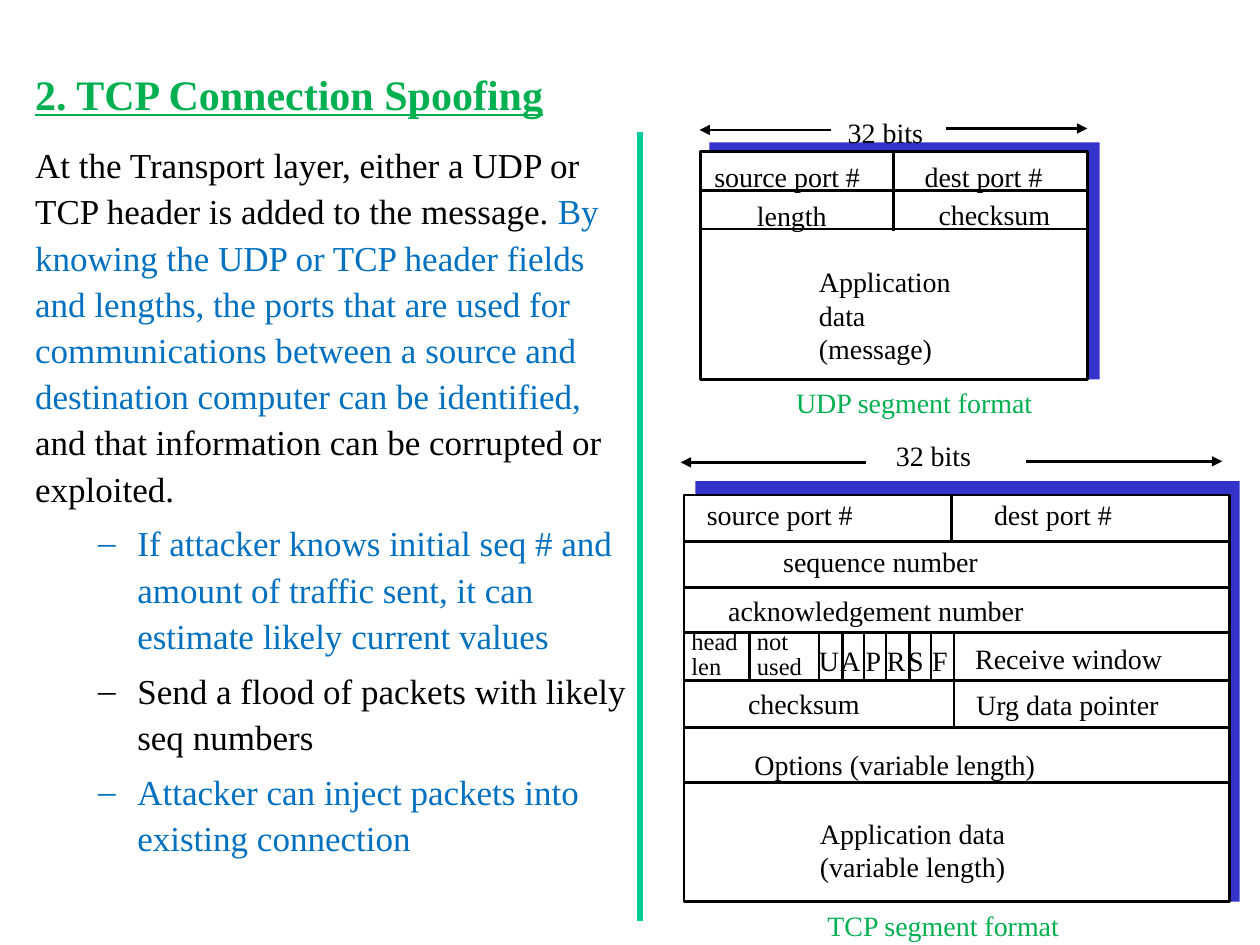
from dataclasses import dataclass
from typing import Any

from lxml.etree import SubElement
from pptx import Presentation
from pptx.dml.color import RGBColor
from pptx.enum.shapes import MSO_CONNECTOR, MSO_SHAPE
from pptx.enum.text import MSO_ANCHOR, MSO_AUTO_SIZE, PP_ALIGN
from pptx.oxml.ns import qn
from pptx.util import Cm, Pt

COLORS = {
    "black": "000000",
    "white": "FFFFFF",
    "blue": "0070C0",
    "green": "00B050",
    "shadow": "3333CC",
    "divider": "00CC98",
}
FONT = "Times New Roman"
LABEL_SLACK = 0.2


@dataclass(frozen=True)
class Box:
    left: float
    top: float
    width: float
    height: float


@dataclass(frozen=True)
class Rule:
    x1: float
    y1: float
    x2: float
    y2: float
    arrow: bool = False


@dataclass(frozen=True)
class Label:
    text: str
    left: float
    top: float
    width: float
    height: float = 0.94
    color: str = "black"
    size: float = 16
    line_spacing: Any = None


@dataclass(frozen=True)
class Paragraph:
    runs: tuple[tuple[str, str], ...]
    bullet: bool = False


@dataclass(frozen=True)
class Segment:
    shadow: Box
    frame: Box
    rules: list[Rule]
    labels: list[Label]


def rgb(name: str) -> RGBColor:
    return RGBColor.from_string(COLORS[name])


def add_bullet(paragraph: Any, color: str) -> None:
    properties = paragraph._p.get_or_add_pPr()
    properties.set("lvl", "1")
    properties.set("marL", str(Cm(2.06)))
    properties.set("indent", str(Cm(-0.79)))
    bullet_color = SubElement(properties, qn("a:buClr"))
    SubElement(bullet_color, qn("a:srgbClr"), val=COLORS[color])
    SubElement(properties, qn("a:buFont"), typeface=FONT)
    SubElement(properties, qn("a:buChar"), char="–")


def add_text(shapes: Any, box: Box, content: list[Paragraph], *, size: float = 16,
             bold: bool = False, underline: bool = False, grow: bool = False,
             anchor: Any = MSO_ANCHOR.TOP, line_spacing: Any = None,
             space_before: float = 0) -> None:
    textbox = shapes.add_textbox(Cm(box.left), Cm(box.top), Cm(box.width), Cm(box.height))
    frame = textbox.text_frame
    frame.word_wrap = True
    frame.auto_size = MSO_AUTO_SIZE.SHAPE_TO_FIT_TEXT if grow else MSO_AUTO_SIZE.NONE
    frame.vertical_anchor = anchor
    for index, item in enumerate(content):
        paragraph = frame.add_paragraph() if index else frame.paragraphs[0]
        paragraph.alignment = PP_ALIGN.LEFT
        paragraph.space_before = Pt(space_before)
        if line_spacing:
            paragraph.line_spacing = line_spacing
        if item.bullet:
            add_bullet(paragraph, item.runs[0][1])
        for text, color in item.runs:
            run = paragraph.add_run()
            run.text = text
            run.font.name = FONT
            run.font.size = Pt(size)
            run.font.bold = bold
            run.font.underline = underline
            run.font.color.rgb = rgb(color)


def add_label(shapes: Any, label: Label) -> None:
    add_text(shapes, Box(label.left, label.top, label.width + LABEL_SLACK, label.height),
             [Paragraph(((line, label.color),)) for line in label.text.split("\n")],
             size=label.size, grow=True, line_spacing=label.line_spacing)


def add_box(shapes: Any, box: Box, fill: str, outlined: bool = False) -> None:
    rectangle = shapes.add_shape(MSO_SHAPE.RECTANGLE, Cm(box.left), Cm(box.top),
                                 Cm(box.width), Cm(box.height))
    rectangle.shadow.inherit = False
    rectangle.fill.solid()
    rectangle.fill.fore_color.rgb = rgb(fill)
    if outlined:
        rectangle.line.color.rgb = rgb("black")
        rectangle.line.width = Pt(1.5)
    else:
        rectangle.line.fill.background()


def add_rule(shapes: Any, rule: Rule, color: str = "black", width: float = 1.5) -> None:
    connector = shapes.add_connector(MSO_CONNECTOR.STRAIGHT, Cm(rule.x1), Cm(rule.y1),
                                     Cm(rule.x2), Cm(rule.y2))
    connector.line.color.rgb = rgb(color)
    connector.line.width = Pt(width)
    if rule.arrow:
        SubElement(connector.line._get_or_add_ln(), qn("a:tailEnd"), type="triangle")
    SubElement(connector._element.spPr, qn("a:effectLst"))


def add_segment(shapes: Any, segment: Segment) -> None:
    group = shapes.add_group_shape().shapes
    add_box(group, segment.shadow, "shadow")
    add_box(group, segment.frame, "white", outlined=True)
    for rule in segment.rules:
        add_rule(group, rule)
    for label in segment.labels:
        add_label(group, label)


UDP = Segment(
    Box(14.3, 2.87, 7.87, 4.78),
    Box(14.12, 3.05, 7.8, 4.6),
    [Rule(14.1, y, 21.95, y) for y in (3.84, 4.62)]
    + [Rule(18.01, 4.65, 18.01, 3.05),
       Rule(19.08, 2.59, 21.92, 2.59, True), Rule(16.76, 2.62, 14.1, 2.62, True)],
    [Label("32 bits", 16.84, 2.2, 2.01),
     Label("source port #", 14.15, 3.1, 3.43),
     Label("dest port #", 18.39, 3.1, 2.87),
     Label("length", 15.01, 3.88, 1.91),
     Label("checksum", 18.67, 3.86, 2.74),
     Label("Application\ndata\n(message)", 16.26, 5.21, 3.15, 2.29),
     Label("UDP segment format", 15.8, 7.65, 5.28, color="green")],
)

FLAGS = zip("UAPRSF", (16.26, 16.69, 17.2, 17.63, 18.06, 18.54),
            (0.91, 0.91, 0.81, 0.89, 0.81, 0.81))
TCP = Segment(
    Box(14.02, 9.7, 10.97, 8.48),
    Box(13.79, 9.98, 11, 8.2),
    [Rule(13.79, y, 24.76, y) for y in (10.91, 11.84, 12.75, 13.72, 14.66, 15.77)]
    + [Rule(x, 13.72, x, 12.75) for x in (15.11, 16.51, 16.99, 17.42, 17.86, 18.34, 18.77)]
    + [Rule(19.18, 10.95, 19.18, 9.98), Rule(19.23, 14.66, 19.23, 12.78),
       Rule(20.68, 9.3, 24.64, 9.3, True), Rule(17.45, 9.32, 13.72, 9.32, True)],
    [Label("32 bits", 17.81, 8.71, 2.01),
     Label("source port #", 14, 9.91, 3.43),
     Label("dest port #", 19.79, 9.91, 2.87),
     Label("sequence number", 15.54, 10.85, 6.91),
     Label("acknowledgement number", 14.43, 11.84, 9.47),
     Label("head\nlen", 13.69, 12.6, 1.45, 1.24, size=14, line_spacing=Pt(14)),
     Label("not\nused", 15.01, 12.6, 1.42, 1.24, size=14, line_spacing=Pt(14))]
    + [Label(flag, left, 12.85, width) for flag, left, width in FLAGS]
    + [Label("Receive window", 19.41, 12.8, 4.27),
       Label("checksum", 14.83, 13.72, 2.74),
       Label("Urg data pointer", 19.43, 13.74, 4.19),
       Label("Options (variable length)", 14.96, 14.94, 6.17),
       Label("Application data\n(variable length)", 16.28, 16.33, 6.15, 1.63)],
)
TCP_CAPTION = Label("TCP segment format", 16.43, 18.19, 5.18, color="green")

EXPLANATION = [
    Paragraph((
        ("At the Transport layer, either a UDP or TCP header is added to the message. ", "black"),
        ("By knowing the UDP or TCP header fields and lengths, the ports that are used for "
         "communications between a source and destination computer can be identified, ", "blue"),
        ("and that information can be corrupted or exploited.", "black"))),
    Paragraph((("If attacker knows initial seq # and amount of traffic sent, "
                "it can estimate likely current values", "blue"),), True),
    Paragraph((("Send a flood of packets with likely seq numbers", "black"),), True),
    Paragraph((("Attacker can inject packets into existing connection", "blue"),), True),
]


def main() -> None:
    presentation = Presentation()
    presentation.slide_width, presentation.slide_height = Cm(25.4), Cm(19.05)
    shapes = presentation.slides.add_slide(presentation.slide_layouts[6]).shapes
    add_text(shapes, Box(0.46, 2.69, 12.5, 15.9), EXPLANATION,
             size=20, line_spacing=1.1, space_before=5)
    add_segment(shapes, UDP)
    add_segment(shapes, TCP)
    add_label(shapes, TCP_CAPTION)
    add_rule(shapes, Rule(12.9, 2.67, 12.9, 18.57), "divider", 3)
    add_text(shapes, Box(0.46, 1.17, 12.24, 1.42),
             [Paragraph((("2. TCP Connection Spoofing", "green"),))],
             size=24, bold=True, underline=True, anchor=MSO_ANCHOR.MIDDLE)
    presentation.save("out.pptx")


if __name__ == "__main__":
    main()
